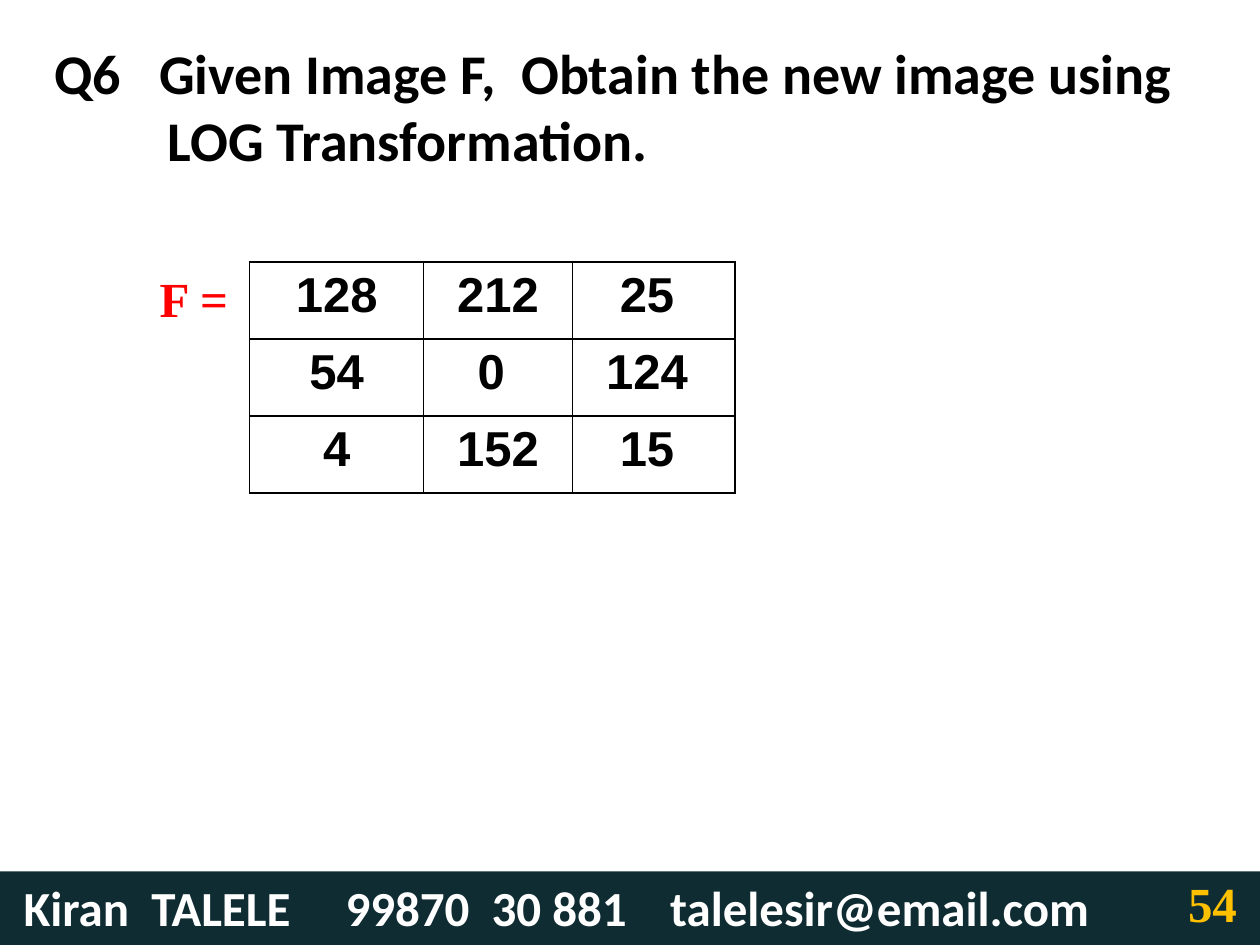
"""Build the log transformation question slide."""
from dataclasses import dataclass
from typing import Any

from lxml.etree import SubElement
from pptx import Presentation
from pptx.dml.color import RGBColor
from pptx.enum.shapes import MSO_SHAPE
from pptx.enum.text import MSO_ANCHOR, PP_ALIGN
from pptx.oxml.ns import qn
from pptx.util import Pt


@dataclass(frozen=True)
class Theme:
    black: str = "000000"
    white: str = "FFFFFF"
    red: str = "FF0000"
    gold: str = "FFC000"
    dark: str = "102C33"
    sans: str = "Calibri"
    serif: str = "Times New Roman"
    grid: str = "Arial"
    head: int = 32
    body: int = 28


@dataclass(frozen=True)
class Line:
    text: str
    tabs: tuple[float, ...] = ()
    margin: float = 0


@dataclass(frozen=True)
class Label:
    box: tuple[float, float, float, float]
    lines: tuple[Line, ...]
    face: str
    size: int
    color: str
    anchor: Any = MSO_ANCHOR.TOP
    fill: str = ""
    inset: float = 7.2


THEME = Theme()
LABELS = (
    Label((23.8, 18.7, 684, 83.5),
          (Line("Q6\tGiven Image F,\tObtain the new image using", (60, 267)),
           Line("LOG Transformation.", margin=65)),
          THEME.sans, THEME.head, THEME.black, MSO_ANCHOR.MIDDLE),
    Label((0, 498, 720, 42),
          (Line("Kiran\tTALELE\t99870\t30 881\ttalelesir@email.com",
                (73, 184, 267.5, 369.5)),),
          THEME.sans, THEME.body, THEME.white, fill=THEME.dark, inset=13.5),
    Label((671.8, 495.4, 48.2, 44), (Line("54"),),
          THEME.serif, THEME.body, THEME.gold),
    Label((84.2, 149.8, 62, 41), (Line("F ="),),
          THEME.serif, THEME.body, THEME.red, MSO_ANCHOR.MIDDLE),
)
PIXELS = (("128", "212", "25 "), ("54", "0 ", "124 "), ("4", "152", "15 "))
COLS = (99.5, 85, 93)
ROW = 44


def style(para: Any, face: str, size: int, color: str) -> None:
    font = para.font
    font.name, font.size, font.bold = face, Pt(size), True
    font.color.rgb = RGBColor.from_string(color)


def set_line(para: Any, line: Line) -> None:
    para.text = line.text
    props = para._p.get_or_add_pPr()
    if line.margin:
        props.set("marL", str(Pt(line.margin)))
    if line.tabs:
        stops = SubElement(props, qn("a:tabLst"))
        for pos in line.tabs:
            SubElement(stops, qn("a:tab"), pos=str(Pt(pos)), algn="l")


def add_label(slide: Any, label: Label) -> None:
    box = [Pt(v) for v in label.box]
    if label.fill:
        shape = slide.shapes.add_shape(MSO_SHAPE.RECTANGLE, *box)
        shape.shadow.inherit = False
        shape.fill.solid()
        shape.fill.fore_color.rgb = RGBColor.from_string(label.fill)
        shape.line.fill.background()
    else:
        shape = slide.shapes.add_textbox(*box)
    frame = shape.text_frame
    frame.word_wrap = True
    frame.vertical_anchor = label.anchor
    frame.margin_left = Pt(label.inset)
    for i, line in enumerate(label.lines):
        para = frame.add_paragraph() if i else frame.paragraphs[0]
        set_line(para, line)
        para.alignment = PP_ALIGN.LEFT
        style(para, label.face, label.size, label.color)


def add_edges(cell: Any) -> None:
    props = cell._tc.get_or_add_tcPr()
    for i, side in enumerate(("lnL", "lnR", "lnT", "lnB")):
        edge = props.makeelement(qn(f"a:{side}"), {"w": str(Pt(1))})
        fill = SubElement(edge, qn("a:solidFill"))
        SubElement(fill, qn("a:srgbClr"), val=THEME.black)
        props.insert(i, edge)


def add_grid(slide: Any) -> None:
    frame = slide.shapes.add_table(
        len(PIXELS), len(COLS), Pt(142.6), Pt(149.8),
        Pt(sum(COLS)), Pt(ROW * len(PIXELS)))
    table = frame.table
    table.first_row = table.horz_banding = False
    for col, width in zip(table.columns, COLS):
        col.width = Pt(width)
    for row, values in zip(table.rows, PIXELS):
        row.height = Pt(ROW)
        for cell, value in zip(row.cells, values):
            cell.text = value
            cell.fill.background()
            add_edges(cell)
            para = cell.text_frame.paragraphs[0]
            para.alignment = PP_ALIGN.CENTER
            style(para, THEME.grid, THEME.body, THEME.black)


def main() -> None:
    deck = Presentation()
    deck.slide_width, deck.slide_height = Pt(720), Pt(540)
    slide = deck.slides.add_slide(deck.slide_layouts[6])
    for label in LABELS:
        add_label(slide, label)
    add_grid(slide)
    deck.save("out.pptx")


if __name__ == "__main__":
    main()
